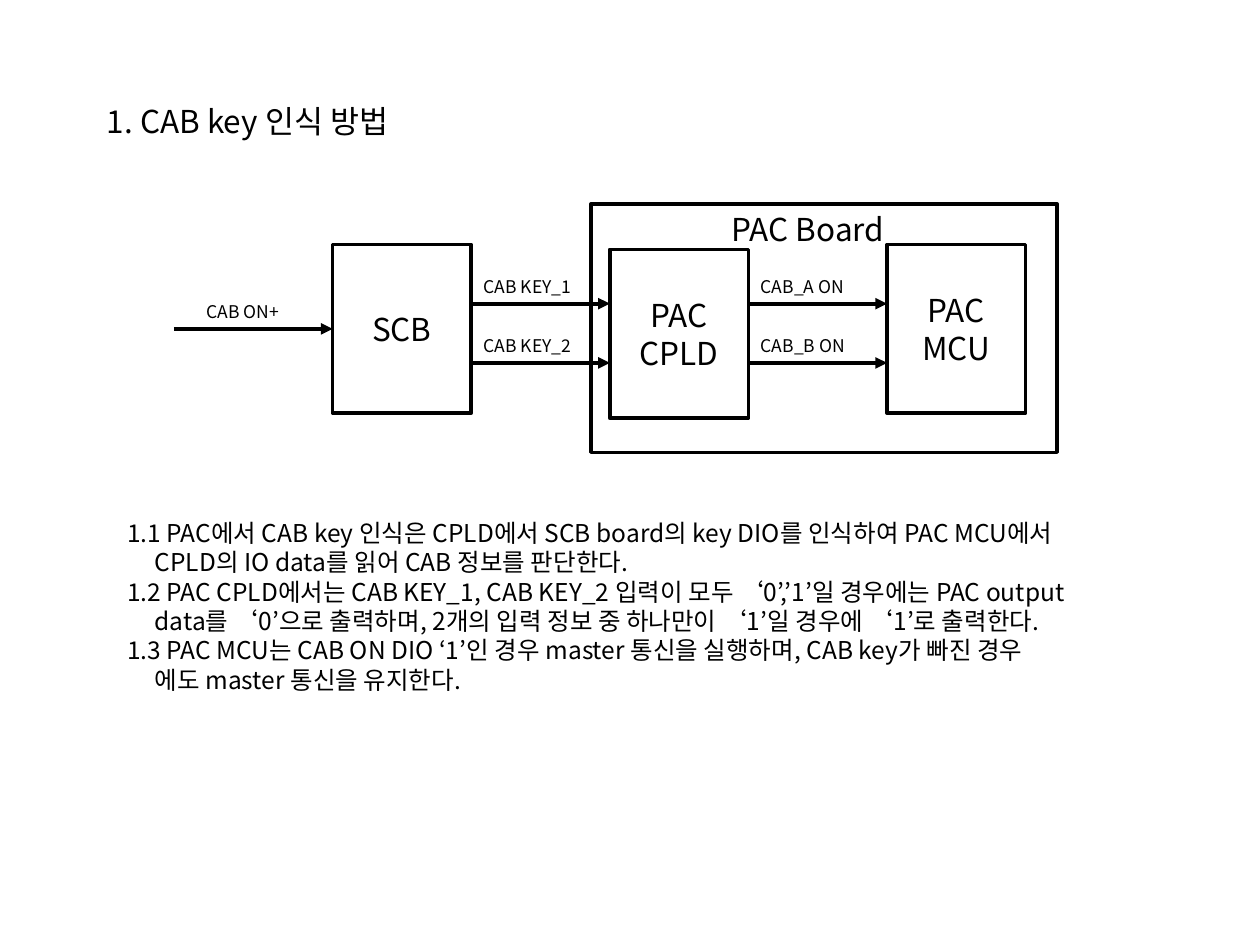
"""Build the slide that explains how the CAB key is recognised."""
from dataclasses import dataclass

from pptx import Presentation
from pptx.dml.color import RGBColor
from pptx.enum.shapes import MSO_CONNECTOR, MSO_SHAPE
from pptx.enum.text import MSO_ANCHOR, PP_ALIGN
from pptx.oxml.ns import qn
from pptx.oxml.xmlchemy import OxmlElement
from pptx.util import Inches, Pt


@dataclass(frozen=True)
class Theme:
    font: str = "Noto Sans CJK KR"
    ink: RGBColor = RGBColor(0, 0, 0)
    paper: RGBColor = RGBColor(255, 255, 255)
    heading: int = 18
    body: int = 14
    label: int = 10
    outline: float = 2
    arrow: float = 2.25


THEME = Theme()
TITLE = "1. CAB key 인식 방법"
BOARD = "PAC Board"
BLOCKS = [("SCB", 1.94), ("PAC CPLD", 1.98), ("PAC MCU", 1.94)]
INPUT = "CAB ON+"
SIGNALS = [("CAB KEY_1", "CAB KEY_2"), ("CAB_A ON", "CAB_B ON")]
NOTES = [
    (0, "1.1 PAC에서 CAB key 인식은 CPLD에서 SCB board의 key DIO를 인식하여 PAC MCU에서"),
    (1, "CPLD의 IO data를 읽어 CAB 정보를 판단한다."),
    (0, "1.2 PAC CPLD에서는 CAB KEY_1, CAB KEY_2 입력이 모두 ‘0’,’1’일 경우에는 PAC output"),
    (1, "data를 ‘0’으로 출력하며, 2개의 입력 정보 중 하나만이 ‘1’일 경우에 ‘1’로 출력한다."),
    (0, "1.3 PAC MCU는 CAB ON DIO ‘1’인 경우 master 통신을 실행하며, CAB key가 빠진 경우"),
    (1, "에도 master 통신을 유지한다."),
]

BLOCK_LEFT, BLOCK_PITCH, BLOCK_WIDTH, BLOCK_HEIGHT = 2.64, 2.2, 1.1, 1.34
SIGNAL_TOP, SIGNAL_PITCH = 2.41, 0.47
LABEL_WIDTH, LABEL_HEIGHT = 1.02, 0.27
INPUT_LEFT, INPUT_LABEL_LEFT = 1.38, 1.54
INDENT = 0.22


def style(paragraph, size):
    font = paragraph.font
    font.size = Pt(size)
    font.color.rgb = THEME.ink
    font.name = THEME.font
    east_asian = OxmlElement("a:ea")
    east_asian.set("typeface", THEME.font)
    paragraph._p.pPr.find(qn("a:defRPr")).append(east_asian)


def add_text(slide, box, lines, size, wrap=True):
    frame = slide.shapes.add_textbox(*map(Inches, box)).text_frame
    frame.word_wrap = wrap
    for index, (level, text) in enumerate(lines):
        paragraph = frame.add_paragraph() if index else frame.paragraphs[0]
        paragraph.text = text
        style(paragraph, size)
        if level:
            paragraph._p.pPr.set("marL", str(Inches(INDENT * level)))


def add_box(slide, box, text=""):
    shape = slide.shapes.add_shape(MSO_SHAPE.RECTANGLE, *map(Inches, box))
    shape.shadow.inherit = False
    shape.fill.solid()
    shape.fill.fore_color.rgb = THEME.paper
    shape.line.color.rgb = THEME.ink
    shape.line.width = Pt(THEME.outline)
    frame = shape.text_frame
    frame.word_wrap = True
    frame.vertical_anchor = MSO_ANCHOR.MIDDLE
    if text:
        paragraph = frame.paragraphs[0]
        paragraph.text = text
        paragraph.alignment = PP_ALIGN.CENTER
        style(paragraph, THEME.heading)
    return shape


def add_arrow(slide, left, right, top):
    ends = map(Inches, (left, top, right, top))
    connector = slide.shapes.add_connector(MSO_CONNECTOR.STRAIGHT, *ends)
    connector.line.color.rgb = THEME.ink
    connector.line.width = Pt(THEME.arrow)
    head = OxmlElement("a:tailEnd")
    head.set("type", "triangle")
    connector.line._get_or_add_ln().append(head)
    connector._element.spPr.append(OxmlElement("a:effectLst"))
    return connector


def add_label(slide, left, arrow_top, text):
    box = (left, arrow_top - LABEL_HEIGHT, LABEL_WIDTH, LABEL_HEIGHT)
    add_text(slide, box, [(0, text)], THEME.label)


def main():
    presentation = Presentation()
    presentation.slide_width, presentation.slide_height = Inches(10), Inches(7.5)
    slide = presentation.slides.add_slide(presentation.slide_layouts[6])

    add_box(slide, (4.69, 1.62, 3.7, 1.97))
    lefts = [BLOCK_LEFT + BLOCK_PITCH * column for column in range(len(BLOCKS))]
    blocks = [
        add_box(slide, (left, top, BLOCK_WIDTH, BLOCK_HEIGHT), name)
        for left, (name, top) in zip(lefts, BLOCKS)
    ]

    input_top = BLOCKS[0][1] + BLOCK_HEIGHT / 2
    add_arrow(slide, INPUT_LEFT, BLOCK_LEFT, input_top).end_connect(blocks[0], 1)
    add_label(slide, INPUT_LABEL_LEFT, input_top, INPUT)
    for left, following, names in zip(lefts, lefts[1:], SIGNALS):
        start = left + BLOCK_WIDTH
        for row, name in enumerate(names):
            top = SIGNAL_TOP + SIGNAL_PITCH * row
            add_arrow(slide, start, following, top)
            add_label(slide, start, top, name)

    add_text(slide, (5.71, 1.62, 1.73, 0.4), [(0, BOARD)], THEME.heading)
    add_text(slide, (0.75, 0.76, 2.62, 0.4), [(0, TITLE)], THEME.heading, wrap=False)
    add_text(slide, (0.91, 4.06, 8.01, 1.75), NOTES, THEME.body)
    presentation.save("out.pptx")


if __name__ == "__main__":
    main()
